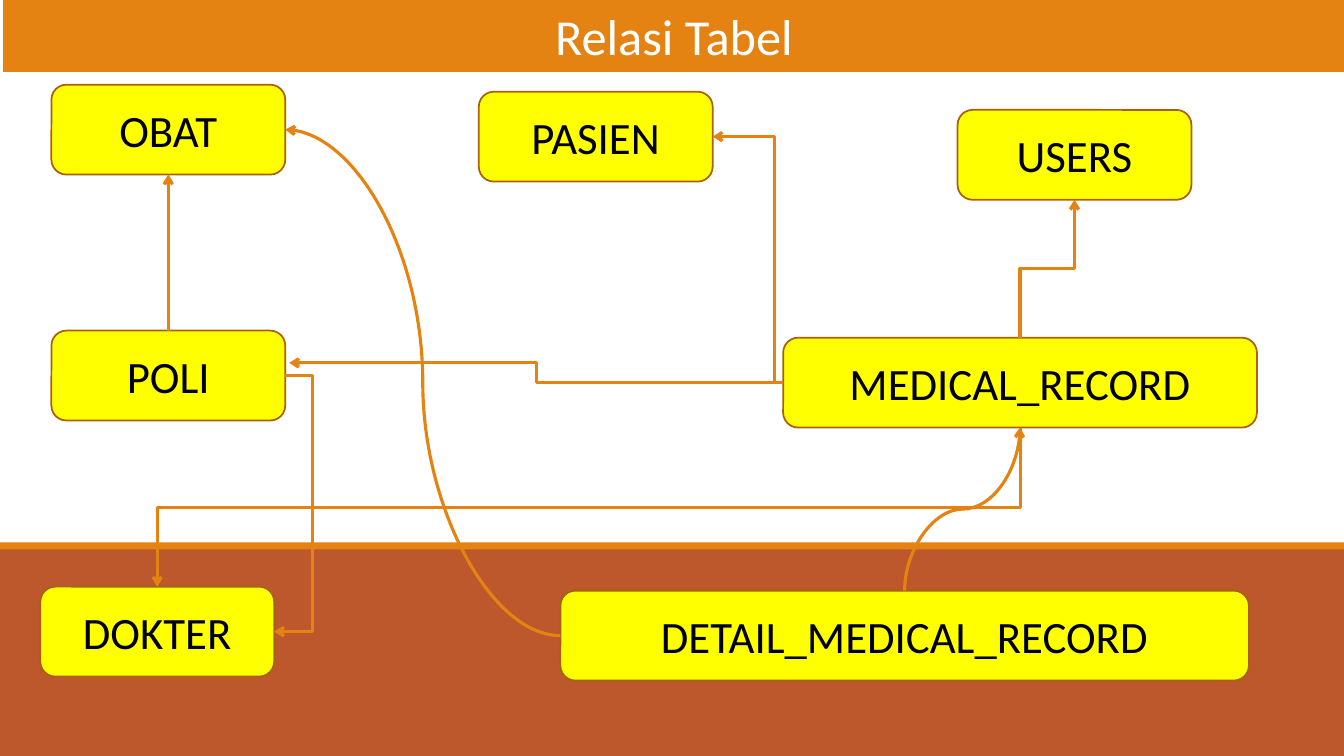
from dataclasses import dataclass
from enum import Enum

from lxml.etree import SubElement
from pptx import Presentation
from pptx.dml.color import RGBColor
from pptx.enum.shapes import MSO_CONNECTOR, MSO_SHAPE
from pptx.enum.text import MSO_ANCHOR, PP_ALIGN
from pptx.oxml.ns import qn
from pptx.shapes.autoshape import Shape
from pptx.slide import Slide
from pptx.util import Inches, Pt

COLUMNS, ROWS = 160, 90
WIDTH, HEIGHT = Inches(13.333), Inches(7.5)
COLUMN, ROW = WIDTH / COLUMNS, HEIGHT / ROWS
TABLE_WIDTH, TABLE_HEIGHT = 27.84, 10.7

WHITE = RGBColor(0xFF, 0xFF, 0xFF)
BLACK = RGBColor(0x00, 0x00, 0x00)
YELLOW = RGBColor(0xFF, 0xFF, 0x00)
ORANGE = RGBColor(0xE4, 0x83, 0x12)
BROWN = RGBColor(0xA9, 0x61, 0x0D)
RUST = RGBColor(0xBD, 0x58, 0x2C)


class Side(Enum):
    LEFT = (0, 0.5)
    RIGHT = (1, 0.5)
    TOP = (0.5, 0)
    BOTTOM = (0.5, 1)


class Route(Enum):
    STEP = "bentConnector3"
    CORNER = "bentConnector2"
    CURVE = "curvedConnector3"


@dataclass(frozen=True)
class Area:
    column: float
    row: float
    columns: float = TABLE_WIDTH
    rows: float = TABLE_HEIGHT

    def anchor(self, side: Side, shift: tuple[float, float]) -> tuple[float, float]:
        across, down = side.value
        return (
            (self.column + across * self.columns + shift[0]) * COLUMN,
            (self.row + down * self.rows + shift[1]) * ROW,
        )


@dataclass(frozen=True)
class Relation:
    source: str
    source_side: Side
    target: str
    target_side: Side
    route: Route = Route.STEP
    bend: float = 0.5
    source_shift: tuple[float, float] = (0, 0)
    target_shift: tuple[float, float] = (0, 0)


FOOTER = Area(0, 65.04, COLUMNS, 24.96)
FOOTER_EDGE = Area(0, 64.56, COLUMNS, 0.84)
HEADER = Area(0.24, -0.36, COLUMNS, 9.12)

TABLES = {
    "OBAT": Area(6.12, 10.08),
    "DOKTER": Area(4.8, 69.84),
    "POLI": Area(6.12, 39.36),
    "MEDICAL_RECORD": Area(93.24, 40.2, 56.4),
    "PASIEN": Area(57, 10.92),
    "DETAIL_MEDICAL_RECORD": Area(66.72, 70.32, 81.96),
    "USERS": Area(114, 13.08),
}

RELATIONS = [
    Relation("POLI", Side.RIGHT, "DOKTER", Side.RIGHT, bend=-2.43),
    Relation("POLI", Side.TOP, "OBAT", Side.BOTTOM),
    Relation("MEDICAL_RECORD", Side.TOP, "USERS", Side.BOTTOM),
    Relation("MEDICAL_RECORD", Side.LEFT, "PASIEN", Side.RIGHT, Route.CORNER,
             source_shift=(-1.08, 0)),
    Relation("MEDICAL_RECORD", Side.LEFT, "POLI", Side.RIGHT, target_shift=(0.48, -1.5)),
    Relation("MEDICAL_RECORD", Side.BOTTOM, "DOKTER", Side.TOP),
    Relation("DETAIL_MEDICAL_RECORD", Side.LEFT, "OBAT", Side.RIGHT, Route.CURVE),
    Relation("DETAIL_MEDICAL_RECORD", Side.TOP, "MEDICAL_RECORD", Side.BOTTOM, Route.CURVE),
]


def add_block(slide: Slide, area: Area, fill: RGBColor,
              preset: MSO_SHAPE = MSO_SHAPE.RECTANGLE) -> Shape:
    block = slide.shapes.add_shape(
        preset, round(area.column * COLUMN), round(area.row * ROW),
        round(area.columns * COLUMN), round(area.rows * ROW))
    block.shadow.inherit = False
    block.fill.solid()
    block.fill.fore_color.rgb = fill
    block.line.fill.background()
    return block


def outline(block: Shape, color: RGBColor, width: float) -> None:
    block.line.color.rgb = color
    block.line.width = Pt(width)


def write(block: Shape, text: str, size: int, color: RGBColor) -> None:
    block.text_frame.word_wrap = True
    block.text_frame.vertical_anchor = MSO_ANCHOR.MIDDLE
    paragraph = block.text_frame.paragraphs[0]
    paragraph.text = text
    paragraph.alignment = PP_ALIGN.CENTER
    paragraph.font.name = "Calibri"
    paragraph.font.size = Pt(size)
    paragraph.font.color.rgb = color


def add_relation(slide: Slide, relation: Relation) -> None:
    x1, y1 = TABLES[relation.source].anchor(relation.source_side, relation.source_shift)
    x2, y2 = TABLES[relation.target].anchor(relation.target_side, relation.target_shift)
    upright = (relation.source_side in (Side.TOP, Side.BOTTOM)
               or relation.route is Route.CORNER)
    turn = 0
    if upright:
        turn = 90 if y2 > y1 else 270
        middle_x, middle_y = (x1 + x2) / 2, (y1 + y2) / 2
        length = abs(y2 - y1)
        rise = x1 - x2 if turn == 90 else x2 - x1
        x1, x2 = middle_x - length / 2, middle_x + length / 2
        y1, y2 = middle_y - rise / 2, middle_y + rise / 2

    kind = MSO_CONNECTOR.CURVE if relation.route is Route.CURVE else MSO_CONNECTOR.ELBOW
    arrow = slide.shapes.add_connector(kind, round(x1), round(y1), round(x2), round(y2))
    arrow.line.color.rgb = ORANGE
    arrow.line.width = Pt(2.25)

    properties = arrow.element.spPr
    if turn:
        properties.find(qn("a:xfrm")).set("rot", str(turn * 60000))
    geometry = properties.find(qn("a:prstGeom"))
    geometry.set("prst", relation.route.value)
    if relation.route is not Route.CORNER:
        guides = geometry.find(qn("a:avLst"))
        SubElement(guides, qn("a:gd"), name="adj1", fmla=f"val {round(relation.bend * 100000)}")
    SubElement(properties.find(qn("a:ln")), qn("a:tailEnd"), type="arrow")
    SubElement(properties, qn("a:effectLst"))


def main() -> None:
    """Build the slide that shows how the clinic's tables relate."""
    presentation = Presentation()
    presentation.slide_width, presentation.slide_height = WIDTH, HEIGHT
    slide = presentation.slides.add_slide(presentation.slide_layouts[6])

    add_block(slide, FOOTER, RUST)
    add_block(slide, FOOTER_EDGE, ORANGE)
    header = add_block(slide, HEADER, ORANGE)
    outline(header, WHITE, 2)
    write(header, "Relasi Tabel", 36, WHITE)

    for name, area in TABLES.items():
        table = add_block(slide, area, YELLOW, MSO_SHAPE.ROUNDED_RECTANGLE)
        outline(table, BROWN, 1.25)
        write(table, name, 32, BLACK)
    for relation in RELATIONS:
        add_relation(slide, relation)

    presentation.save("out.pptx")


if __name__ == "__main__":
    main()
